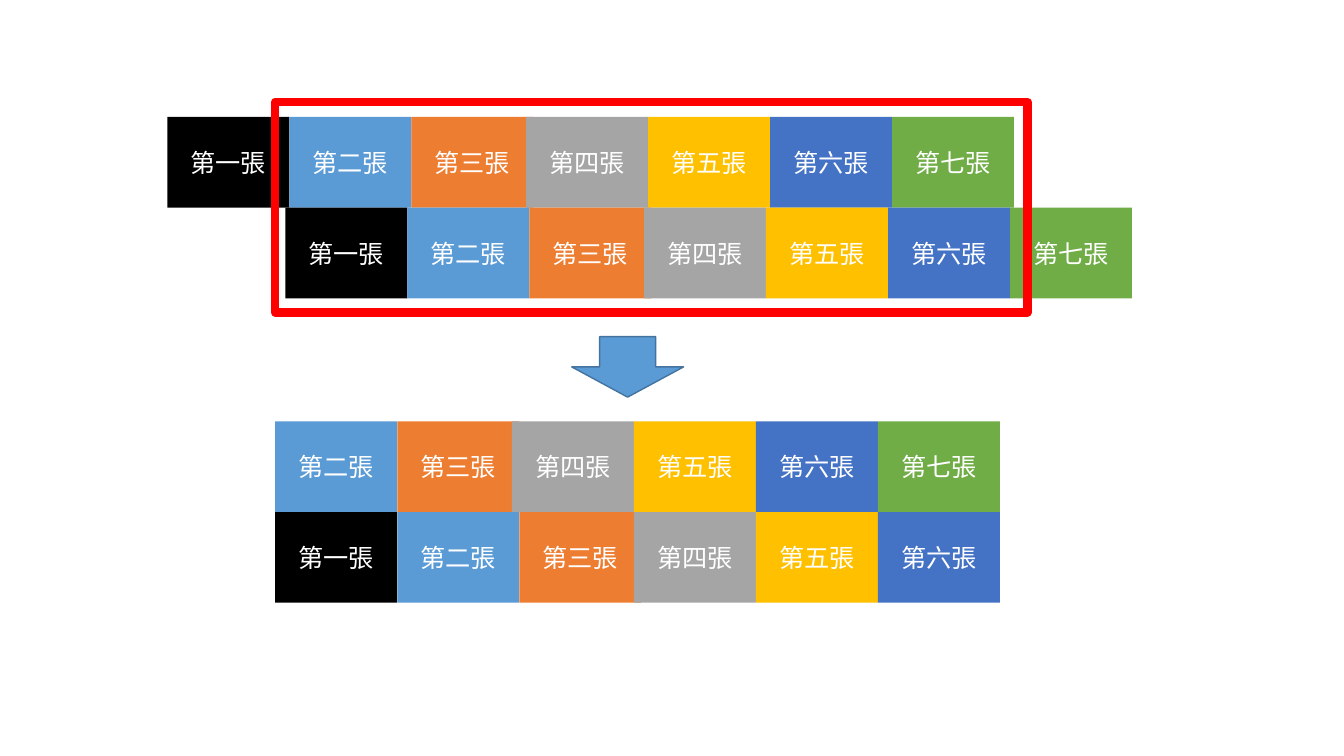
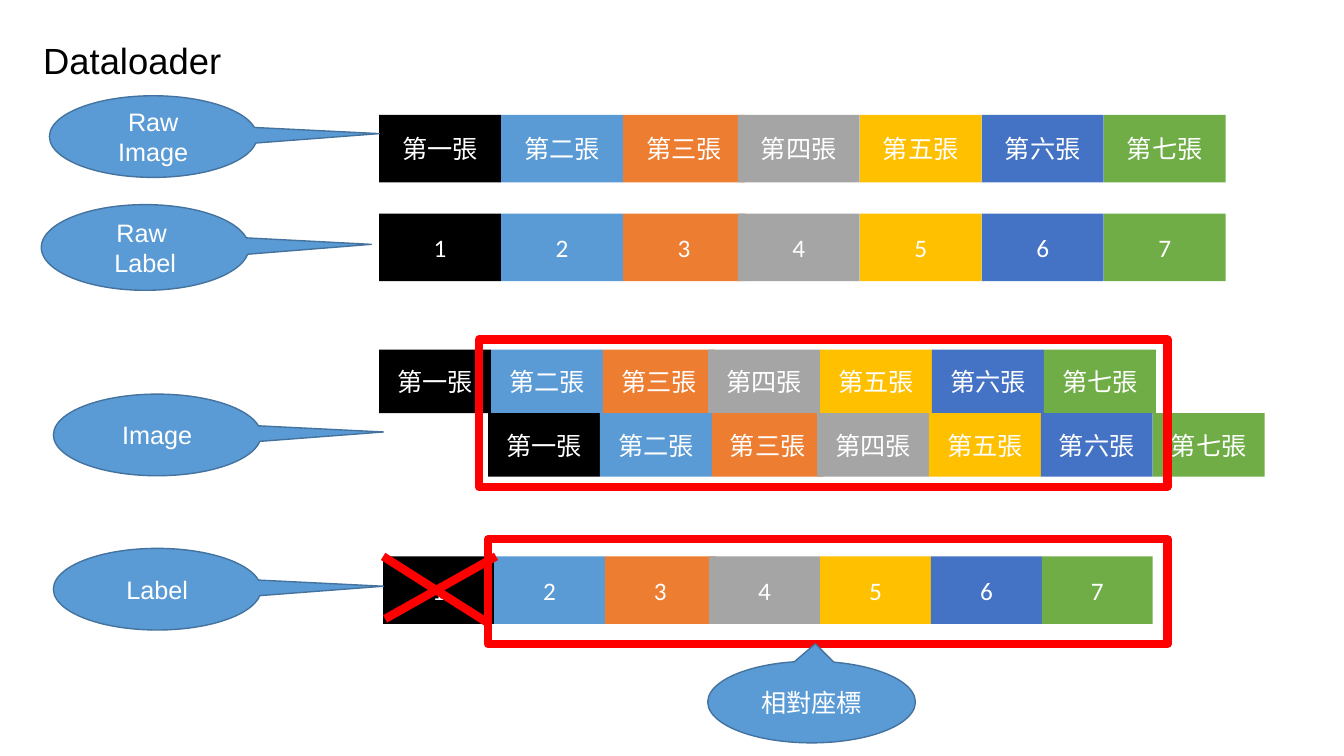
from dataclasses import dataclass
from lxml import etree
from pptx import Presentation
from pptx.dml.color import RGBColor
from pptx.enum.shapes import MSO_CONNECTOR, MSO_SHAPE
from pptx.enum.text import MSO_ANCHOR, PP_ALIGN
from pptx.oxml.ns import qn
from pptx.util import Inches, Pt

RECT = MSO_SHAPE.RECTANGLE
DOWN_ARROW = MSO_SHAPE.DOWN_ARROW
CALLOUT = MSO_SHAPE.OVAL_CALLOUT
STRAIGHT = MSO_CONNECTOR.STRAIGHT
CENTER, LEFT = PP_ALIGN.CENTER, PP_ALIGN.LEFT
MIDDLE, TOP = MSO_ANCHOR.MIDDLE, MSO_ANCHOR.TOP


@dataclass(frozen=True)
class Theme:
    frames: tuple = ("000000", "5B9BD5", "ED7D31", "A5A5A5",
                     "FFC000", "4472C4", "70AD47")
    accent: str = "5B9BD5"
    outline: str = "43739E"
    mark: str = "FF0000"
    light: str = "FFFFFF"
    dark: str = "000000"
    body_font: str = "Calibri"
    label_font: str = "Arial"
    body_size: int = 18
    title_size: int = 26
    thin: int = 1
    thick: int = 6


THEME = Theme()
IMAGES = [f"第{n}張" for n in "一二三四五六七"]
LABELS = [str(n) for n in range(1, 8)]
TAIL_RIGHT = (1.089, -0.036)
TAIL_UP = (0.018, -0.714)
OVERLAP = 0.06  # share of a cell by which the fourth covers the third


def rgb(value):
    return RGBColor.from_string(value)


def write(sp, text, size=THEME.body_size, font=THEME.body_font,
          color=THEME.light, align=CENTER, anchor=MIDDLE):
    tf = sp.text_frame
    tf.word_wrap = True
    tf.vertical_anchor = anchor
    for i, line in enumerate(text.split("\n")):
        p = tf.paragraphs[0] if i == 0 else tf.add_paragraph()
        p.alignment = align
        r = p.add_run()
        r.text = line
        r.font.size, r.font.name = Pt(size), font
        r.font.color.rgb = rgb(color)


class Deck:
    def __init__(self, theme):
        self.theme = theme
        self.prs = Presentation()
        self.prs.slide_width, self.prs.slide_height = Inches(13.33), Inches(7.5)
        self.s = None

    def slide(self):
        self.s = self.prs.slides.add_slide(self.prs.slide_layouts[6])

    def shape(self, kind, x, y, w, h, fill=None, line=None, width=1, parent=None):
        shapes = (parent or self.s).shapes
        sp = shapes.add_shape(kind, Inches(x), Inches(y), Inches(w), Inches(h))
        sp.shadow.inherit = False
        if fill:
            sp.fill.solid()
            sp.fill.fore_color.rgb = rgb(fill)
        else:
            sp.fill.background()
        if line:
            sp.line.color.rgb = rgb(line)
            sp.line.width = Pt(width)
        else:
            sp.line.fill.background()
        return sp

    def title(self, text, x, y, w, h):
        sp = self.s.shapes.add_textbox(Inches(x), Inches(y), Inches(w), Inches(h))
        write(sp, text, size=self.theme.title_size, font=self.theme.label_font,
              color=self.theme.dark, align=LEFT, anchor=TOP)

    def strip(self, texts, x, y, w, h, first=0, last=6):
        """One grouped row of coloured cells, from index first to last."""
        group = self.s.shapes.add_group_shape()
        for i in range(first, last + 1):
            shift = OVERLAP if i >= 3 else 0
            sp = self.shape(RECT, x + (i - first - shift) * w, y, w, h,
                            fill=self.theme.frames[i], parent=group)
            write(sp, texts[i])

    def frame(self, x, y, w, h):
        self.shape(RECT, x, y, w, h, line=self.theme.mark, width=self.theme.thick)

    def arrow(self, x, y, w, h):
        self.shape(DOWN_ARROW, x, y, w, h, fill=self.theme.accent,
                   line=self.theme.outline, width=self.theme.thin)

    def callout(self, text, x, y, h=0.81, tail=TAIL_RIGHT):
        sp = self.shape(CALLOUT, x, y, 2.06, h, fill=self.theme.accent,
                        line=self.theme.outline, width=self.theme.thin)
        sp.adjustments[0], sp.adjustments[1] = tail
        write(sp, text, font=self.theme.label_font)

    def line(self, x1, y1, x2, y2):
        c = self.s.shapes.add_connector(STRAIGHT, Inches(x1), Inches(y1),
                                        Inches(x2), Inches(y2))
        c.line.color.rgb = rgb(self.theme.mark)
        c.line.width = Pt(self.theme.thick)
        etree.SubElement(c._element.spPr, qn("a:effectLst"))


deck = Deck(THEME)

# Slide 1: shifted pairs of frames and the pairs that remain
deck.slide()
cell = dict(w=1.21, h=0.9)
deck.strip(IMAGES, 1.66, 1.16, **cell)
deck.strip(IMAGES, 2.83, 2.06, **cell)
deck.frame(2.73, 1.01, 7.46, 2.09)
deck.strip(IMAGES, 2.73, 4.18, first=1, **cell)
deck.strip(IMAGES, 2.73, 5.08, last=5, **cell)
deck.arrow(5.67, 3.34, 1.11, 0.6)

# Slide 2: data loader
deck.slide()
deck.title("Dataloader", 0.33, 0.33, 2.46, 0.54)

# Paired images
deck.strip(IMAGES, 3.76, 3.47, 1.11, 0.63)
deck.strip(IMAGES, 4.84, 4.1, 1.11, 0.63)
deck.frame(4.75, 3.37, 6.83, 1.46)

# Raw data
deck.strip(IMAGES, 3.76, 1.14, 1.21, 0.67)
deck.strip(LABELS, 3.76, 2.12, 1.21, 0.67)
deck.callout("Raw Image", 0.49, 0.95)
deck.callout("Raw \nLabel", 0.41, 2.03, h=0.85)
deck.callout("Image", 0.53, 3.91)

# Labels, with the first one crossed out
deck.strip(LABELS, 3.8, 5.52, 1.1, 0.67)
deck.callout("Label", 0.53, 5.44)
deck.line(3.8, 5.52, 4.84, 6.18)
deck.line(3.82, 6.14, 4.92, 5.52)
deck.frame(4.84, 5.35, 6.74, 1.04)
deck.callout("相對座標", 7.02, 6.56, tail=TAIL_UP)

deck.prs.save("out.pptx")
